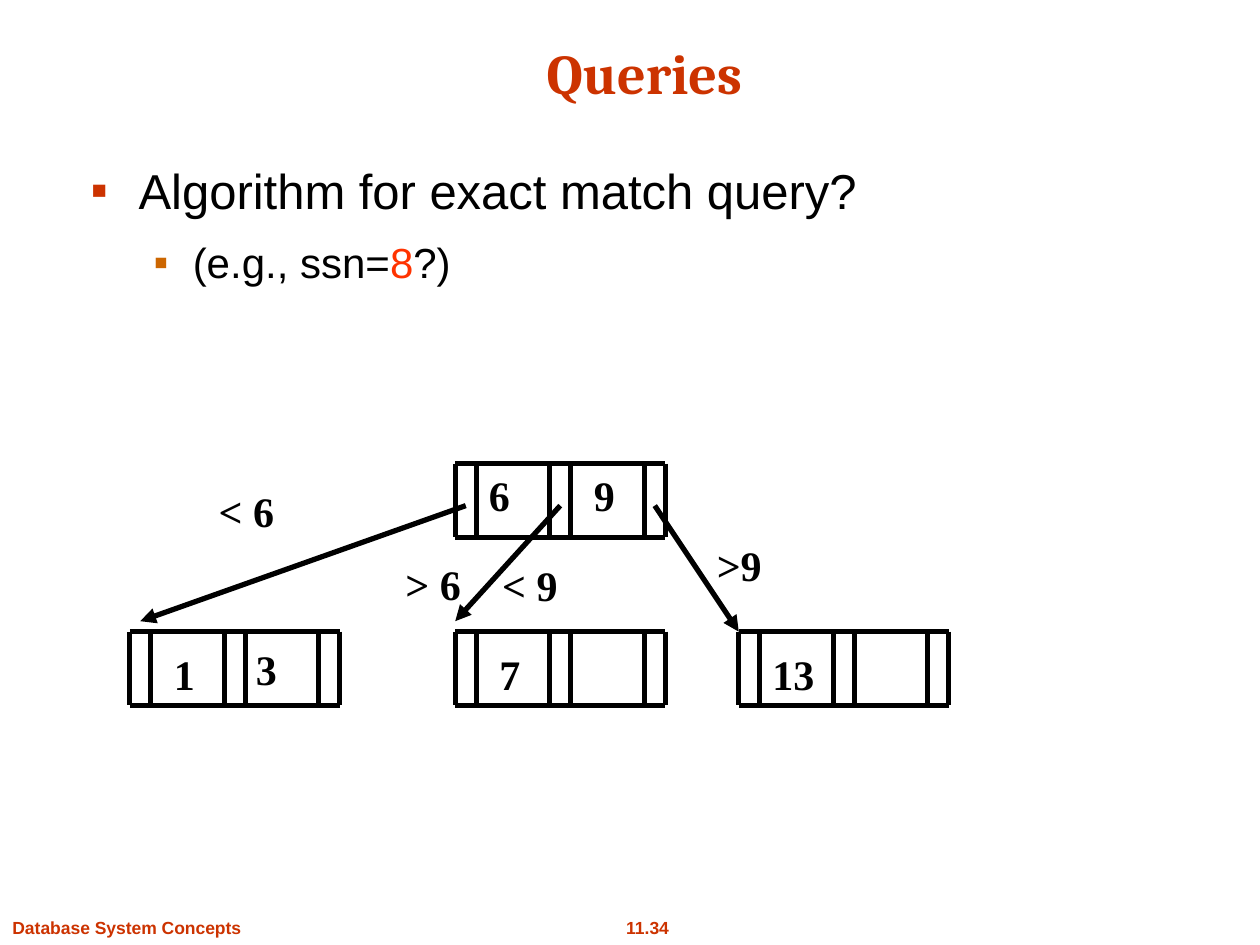
from collections import namedtuple
from dataclasses import dataclass

from lxml.etree import SubElement
from pptx import Presentation
from pptx.dml.color import RGBColor
from pptx.enum.shapes import MSO_CONNECTOR
from pptx.enum.text import MSO_ANCHOR, MSO_AUTO_SIZE, PP_ALIGN
from pptx.oxml.ns import qn
from pptx.util import Inches, Pt

Box = namedtuple("Box", "left top width height")


@dataclass(frozen=True)
class Theme:
    """Colours, fonts and type sizes of the deck."""
    accent: str = "CC3300"
    second: str = "CC6600"
    highlight: str = "FF3300"
    ink: str = "000000"
    heading_font: str = "Cambria"
    body_font: str = "Arial"
    tree_font: str = "Times New Roman"
    title_size: int = 32
    body_size: int = 28
    detail_size: int = 24
    tree_size: int = 24
    footer_size: int = 10
    line_width: int = 3


THEME = Theme()
UNIT = 1 / 12
NODE_WIDTH, NODE_HEIGHT = 20, 7
NODE_BARS = (0, 2, 9, 11, 18, 20)
LABEL_HEIGHT = 6
NODES = ((31, 0), (0, 16), (31, 16), (58, 16))
POINTERS = (((32, 4), (1, 15)), ((41, 4), (31, 15)), ((50, 4), (58, 16)))
LABELS = (
    ("1", 3, 17, 4.4), ("3", 10.8, 16.5, 4.4), ("6", 33, 0, 4.4),
    ("7", 34, 17, 4.4), ("9", 43, 0, 4.4), ("13", 60, 17, 6.4),
    ("< 6", 7.2, 1.5, 7.8), ("> 6", 24.1, 8.4, 9.6),
    ("< 9", 34.2, 8.5, 7.8), (">9", 54.7, 6.6, 6.7),
)


def style(font, name, size, colour, bold=False):
    """Set the look of a font."""
    font.name, font.size, font.bold = name, Pt(size), bold
    font.color.rgb = RGBColor.from_string(colour)


def place(shape, box):
    """Move a shape into a box given in inches."""
    shape.left, shape.top, shape.width, shape.height = map(Inches, box)


def add_label(page, box, text, name, size, colour, align=PP_ALIGN.CENTER):
    """Add one bold line of text in a box."""
    frame = page.shapes.add_textbox(*map(Inches, box)).text_frame
    frame.word_wrap = False
    para = frame.paragraphs[0]
    para.text, para.alignment = text, align
    style(para.font, name, size, colour, True)


def add_bullet(para, colour, margin, indent):
    """Give a paragraph a square bullet with a hanging indent."""
    properties = para._p.get_or_add_pPr()
    properties.set("marL", str(Inches(margin)))
    properties.set("indent", str(Inches(-indent)))
    SubElement(SubElement(properties, qn("a:buClr")), qn("a:srgbClr"), val=colour)
    SubElement(properties, qn("a:buFont"), typeface=THEME.body_font)
    SubElement(properties, qn("a:buChar"), char="▪")


def add_line(page, box, start, end, arrow=False):
    """Draw a line between two grid points of a box."""
    ends = [Inches(origin + step * UNIT) for point in (start, end)
            for origin, step in zip((box.left, box.top), point)]
    connector = page.shapes.add_connector(MSO_CONNECTOR.STRAIGHT, *ends)
    connector.line.width = Pt(THEME.line_width)
    connector.line.color.rgb = RGBColor.from_string(THEME.ink)
    if arrow:
        SubElement(connector.line._get_or_add_ln(), qn("a:tailEnd"), type="triangle")
    SubElement(connector._element.spPr, qn("a:effectLst"))


def fill_title(page, box):
    """Write the title along the bottom of its box."""
    title = page.shapes.title
    place(title, box)
    frame = title.text_frame
    frame.auto_size, frame.vertical_anchor = MSO_AUTO_SIZE.NONE, MSO_ANCHOR.BOTTOM
    para = frame.paragraphs[0]
    para.text, para.alignment = "Queries", PP_ALIGN.CENTER
    style(para.font, THEME.heading_font, THEME.title_size, THEME.accent, True)


def fill_body(page, box):
    """Write the question and its example as a two-level list."""
    body = page.placeholders[1]
    place(body, box)
    frame = body.text_frame
    frame.auto_size = MSO_AUTO_SIZE.NONE
    question, example = frame.paragraphs[0], frame.add_paragraph()
    example.level = 1
    question.space_before, example.space_before = Pt(0), Pt(10)
    add_bullet(question, THEME.accent, 0.38, 0.38)
    add_bullet(example, THEME.second, 0.81, 0.31)
    question.text = "Algorithm for exact match query?"
    for text in ("(e.g., ssn=", "8", "?)"):
        span = example.add_run()
        span.text = text
        if text == "8":
            span.font.color.rgb = RGBColor.from_string(THEME.highlight)
    style(question.font, THEME.body_font, THEME.body_size, THEME.ink)
    style(example.font, THEME.body_font, THEME.detail_size, THEME.ink)


def draw_node(page, box):
    """Draw a tree node with three pointer slots and two key slots."""
    for column in NODE_BARS:
        add_line(page, box, (column, 0), (column, NODE_HEIGHT))
    for row in (0, NODE_HEIGHT):
        add_line(page, box, (0, row), (NODE_WIDTH, row))


def draw_tree(page, box):
    """Draw the nodes, pointers and labels of the search tree."""
    def cell(column, row, width, height):
        return Box(box.left + column * UNIT, box.top + row * UNIT,
                   width * UNIT, height * UNIT)

    for column, row in NODES:
        draw_node(page, cell(column, row, NODE_WIDTH, NODE_HEIGHT))
    for start, end in POINTERS:
        add_line(page, box, start, end, arrow=True)
    for text, column, row, width in LABELS:
        add_label(page, cell(column, row, width, LABEL_HEIGHT), text,
                  THEME.tree_font, THEME.tree_size, THEME.ink)


def add_footer(page, box):
    """Write the book title and the page number."""
    look = THEME.body_font, THEME.footer_size, THEME.accent
    add_label(page, box._replace(width=2.02), "Database System Concepts", *look,
              align=PP_ALIGN.LEFT)
    add_label(page, box._replace(left=box.left + 4.86, width=0.56), "11.34", *look)


def main():
    """Build the deck and save it."""
    deck = Presentation()
    deck.slide_width, deck.slide_height = Inches(10), Inches(7.5)
    page = deck.slides.add_slide(deck.slide_layouts[1])
    add_footer(page, Box(0, 7.23, 10, 0.27))
    fill_title(page, Box(0.7, 0.22, 8.83, 0.67))
    fill_body(page, Box(0.62, 1.22, 8.58, 5.33))
    draw_tree(page, Box(1.03, 3.68, 78 * UNIT, 23 * UNIT))
    deck.save("out.pptx")


if __name__ == "__main__":
    main()
